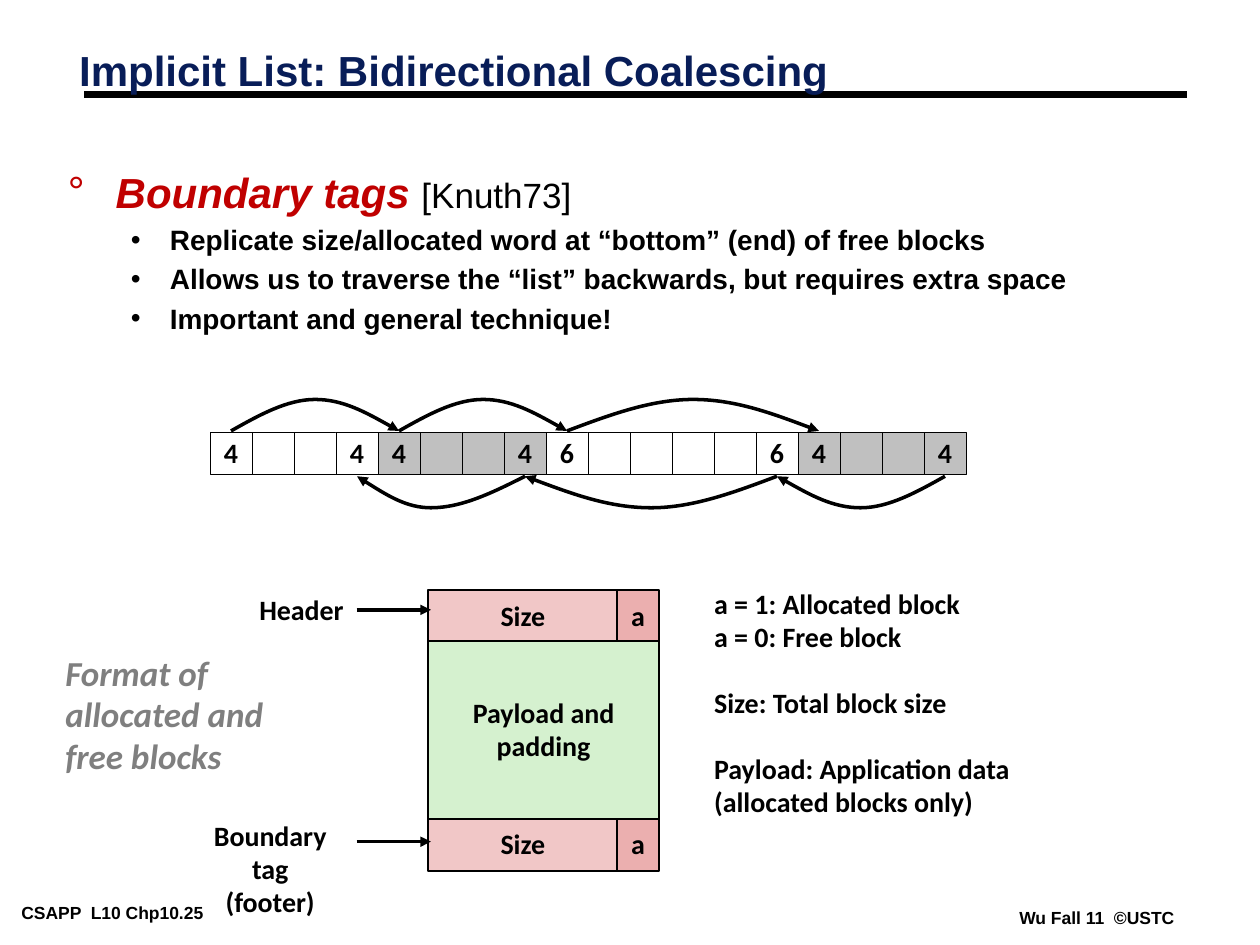
"""Build the slide on bidirectional coalescing with boundary tags."""
from lxml import etree
from pptx import Presentation
from pptx.dml.color import RGBColor
from pptx.enum.shapes import MSO_CONNECTOR, MSO_SHAPE
from pptx.enum.text import MSO_ANCHOR, PP_ALIGN
from pptx.oxml.ns import qn
from pptx.util import Inches, Pt

LINE = MSO_CONNECTOR.STRAIGHT
RECT = MSO_SHAPE.RECTANGLE
MIDDLE = MSO_ANCHOR.MIDDLE
LEFT = PP_ALIGN.LEFT
CENTER = PP_ALIGN.CENTER
COLORS = {
    "black": "000000", "white": "FFFFFF", "navy": "081D58", "red": "C00000",
    "label": "7F7F7F", "gray": "C0C0C0", "pink": "F1C7C7", "rose": "EBAFAF",
    "green": "D5F1CF",
}


def write(shape, lines, size=16, color="black", font="Calibri", align=LEFT, space=0.98):
    frame = shape.text_frame
    frame.word_wrap = False
    frame.text = "\n".join(lines)
    for para in frame.paragraphs:
        para.alignment = align
        para.line_spacing = space
        for run in para.runs:
            run.font.size = Pt(size)
            run.font.name = font
            run.font.bold = True
            run.font.color.rgb = RGBColor.from_string(COLORS[color])
    return frame


def stroke(shape, width, arrow=False):
    shape.line.color.rgb = RGBColor.from_string(COLORS["black"])
    shape.line.width = Pt(width)
    props = shape._element.spPr
    if props.find(qn("a:effectLst")) is None:
        etree.SubElement(props, qn("a:effectLst"))
    if arrow:
        etree.SubElement(props.find(qn("a:ln")), qn("a:tailEnd"), type="triangle")


deck = Presentation()
deck.slide_width = Inches(10)
deck.slide_height = Inches(7.5)
shapes = deck.slides.add_slide(deck.slide_layouts[6]).shapes

rules = [(0.67, 9.42, 0.75, 4.5, False), (2.83, 3.42, 4.84, 2, True), (2.83, 3.42, 6.68, 2, True)]

boxes = []
cell = 1 / 3
row = 5 / 3
heads, tails = [], []
index = 0
for count, fill in [(4, "white"), (4, "gray"), (6, "white"), (4, "gray")]:
    heads.append(row + (index + 0.5) * cell)
    tails.append(row + (index + count - 0.5) * cell)
    for step in range(count):
        lines = [str(count)] if step in (0, count - 1) else []
        boxes.append((row + index * cell, 3.43, cell, cell, fill, 0.25, lines))
        index += 1

for top in (4.68, 6.49):
    boxes.append((3.4, top, 1.5, 0.42, "pink", 1, ["Size"]))
    boxes.append((4.9, top, 0.33, 0.42, "rose", 1, ["a"]))
boxes.append((3.4, 5.09, 1.83, 1.41, "green", 1, ["Payload and", "padding"]))

for left, top, width, height, fill, edge, lines in boxes:
    box = shapes.add_shape(RECT, Inches(left), Inches(top), Inches(width), Inches(height))
    box.shadow.inherit = False
    box.fill.solid()
    box.fill.fore_color.rgb = RGBColor.from_string(COLORS[fill])
    stroke(box, edge)
    if lines:
        write(box, lines, align=CENTER).vertical_anchor = MIDDLE

for start, end, y, width, arrow in rules:
    rule = shapes.add_connector(LINE, Inches(start), Inches(y), Inches(end), Inches(y))
    stroke(rule, width, arrow)

arcs = [(a, (a + b) / 2, b, 3.42, 3.17) for a, b in zip(heads, heads[1:])]
mids = [3.42, 5.17, 6.83]
arcs += [(b, mid, a, 3.78, 4.03) for a, mid, b in zip(tails, mids, tails[1:])]
for start, mid, end, base, peak in arcs:
    half = (base + peak) / 2
    xs = [start + (mid - start) * n / 3 for n in range(4)]
    xs += [mid + (end - mid) * n / 3 for n in range(1, 4)]
    ys = [base, half, peak, peak, peak, half, base]
    points = [(Inches(x), Inches(y)) for x, y in zip(xs, ys)]
    pen = shapes.build_freeform(*points[0])
    pen.add_line_segments(points[1:], close=False)
    arc = pen.convert_to_shape()
    arc.shadow.inherit = False
    arc.fill.background()
    stroke(arc, 2, True)
    track = next(arc._element.iter(qn("a:path")))
    legs = track.findall(qn("a:lnTo"))
    for part in (legs[:3], legs[3:]):
        curve = etree.SubElement(track, qn("a:cubicBezTo"))
        for leg in part:
            curve.append(leg[0])
            track.remove(leg)

title = shapes.add_textbox(Inches(0.53), Inches(0.36), Inches(9.58), Inches(0.45))
frame = write(title, ["Implicit List: Bidirectional Coalescing"], 24, "navy", "Arial", space=0.87)
frame.word_wrap = True
frame.vertical_anchor = MIDDLE

body = shapes.add_textbox(Inches(0.44), Inches(1.34), Inches(9.09), Inches(1.45))
frame = write(body, [
    "Boundary tags ",
    "Replicate size/allocated word at “bottom” (end) of free blocks",
    "Allows us to traverse the “list” backwards, but requires extra space",
    "Important and general technique!",
], font="Arial", space=0.88)
frame.word_wrap = True
for n, para in enumerate(frame.paragraphs):
    margin, hang, mark, color = (0.81, 0.31, "•", "black") if n else (0.38, 0.38, "°", "red")
    props = para._p.get_or_add_pPr()
    props.set("marL", str(Inches(margin)))
    props.set("indent", str(-Inches(hang)))
    tint = etree.SubElement(props, qn("a:buClr"))
    etree.SubElement(tint, qn("a:srgbClr"), val=COLORS[color])
    etree.SubElement(props, qn("a:buFont"), typeface="Arial")
    etree.SubElement(props, qn("a:buChar"), char=mark)
    if n:
        para.level = 1
        para.space_before = Pt(5.6)
lead = frame.paragraphs[0]
lead.line_spacing = 0.83
term = lead.runs[0].font
term.size = Pt(24)
term.italic = True
term.color.rgb = RGBColor.from_string(COLORS["red"])
cite = lead.add_run()
cite.text = "[Knuth73]"
cite.font.size = Pt(20)
cite.font.name = "Arial"
cite.font.bold = False
cite.font.color.rgb = RGBColor.from_string(COLORS["black"])

label = shapes.add_textbox(Inches(0.42), Inches(5.14), Inches(1.77), Inches(1.08))
frame = write(label, ["Format of", "allocated and", "free blocks"], 20, "label")
for para in frame.paragraphs:
    para.runs[0].font.italic = True

legend = shapes.add_textbox(Inches(5.57), Inches(4.62), Inches(2.56), Inches(2.19))
frame = write(legend, [
    "a = 1: Allocated block", "a = 0: Free block", "Size: Total block size",
    "Payload: Application data", "(allocated blocks only)",
])
for n in (2, 3):
    frame.paragraphs[n].space_before = Pt(19)

head = shapes.add_textbox(Inches(1.96), Inches(4.67), Inches(0.87), Inches(0.36))
write(head, ["Header"])
foot = shapes.add_textbox(Inches(1.43), Inches(6.46), Inches(1.43), Inches(0.62))
write(foot, ["Boundary tag", "(footer)"], align=CENTER)

for left, top, width, text in [
    (0.1, 7.13, 2.1, "CSAPP  L10 Chp10.25"),
    (8.02, 7.17, 1.38, "Wu Fall 11  ©USTC"),
]:
    note = shapes.add_textbox(Inches(left), Inches(top), Inches(width), Inches(0.22))
    frame = write(note, [text], 10, font="Arial", space=1)
    frame.margin_left = frame.margin_right = Inches(0.07)
    frame.margin_top = frame.margin_bottom = Inches(0.03)
    frame.word_wrap = True

deck.save("out.pptx")
